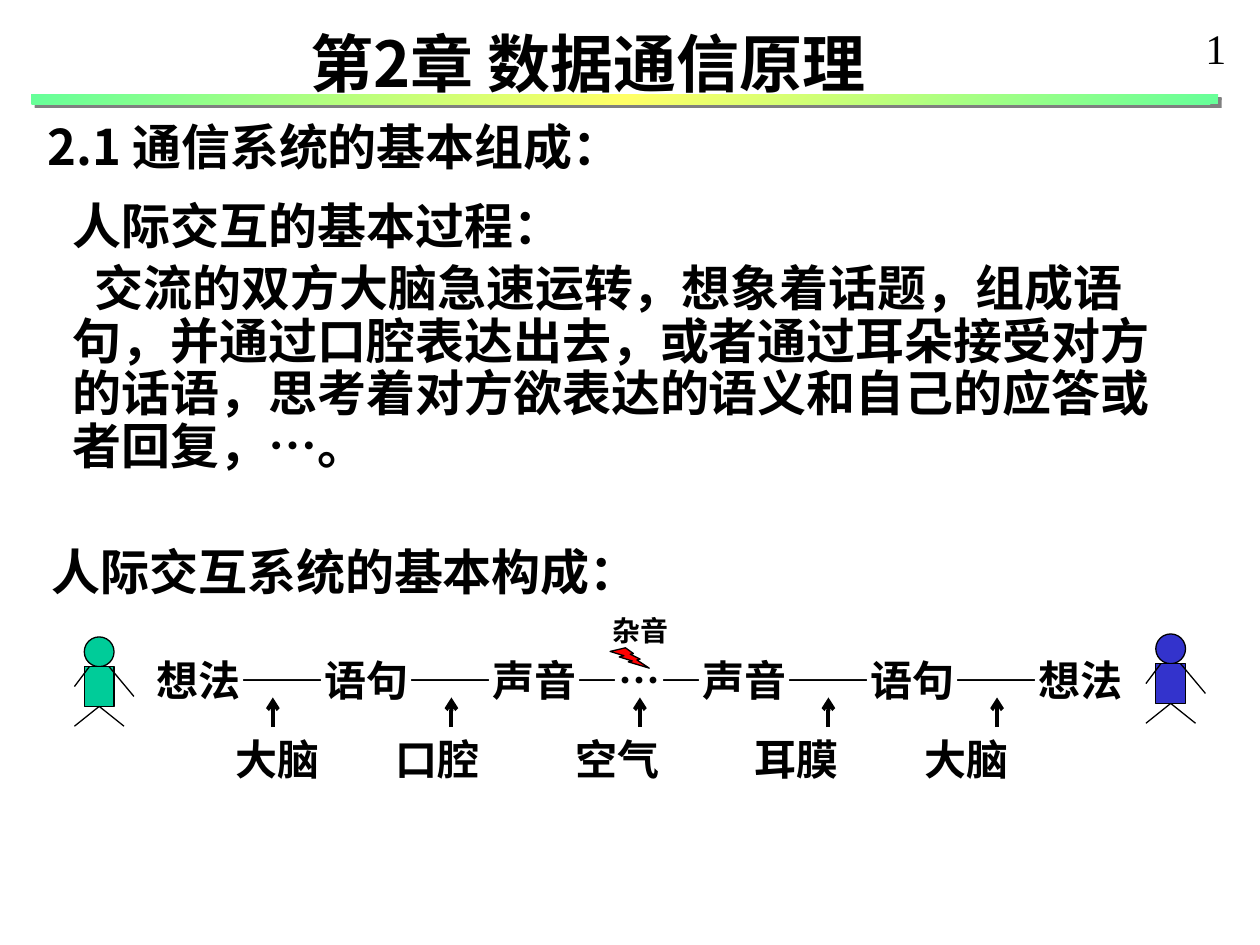
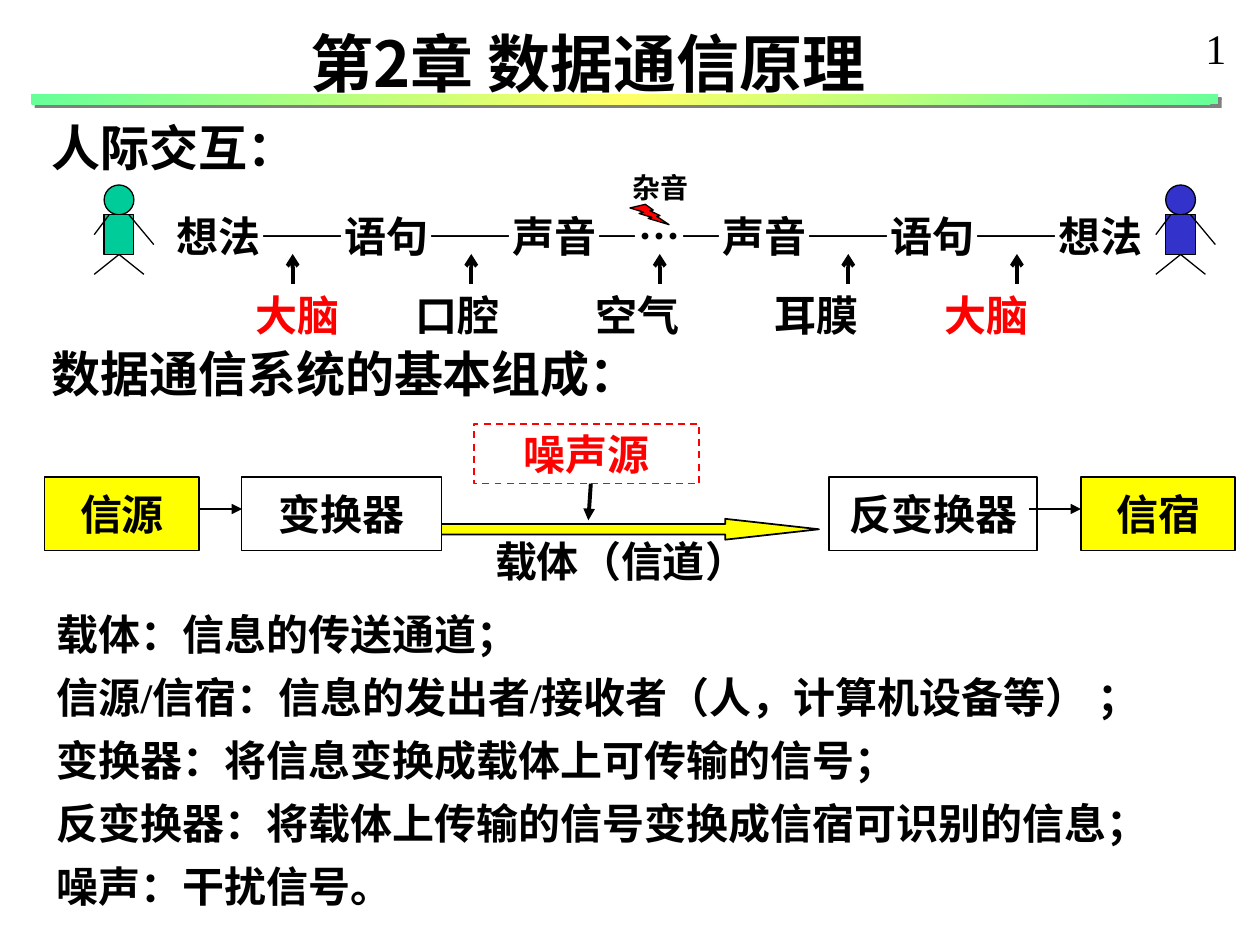
from lxml.etree import SubElement
from pptx import Presentation
from pptx.dml.color import RGBColor
from pptx.enum.dml import MSO_LINE
from pptx.enum.shapes import MSO_CONNECTOR, MSO_SHAPE
from pptx.enum.text import MSO_ANCHOR, MSO_AUTO_SIZE, PP_ALIGN
from pptx.oxml import parse_xml
from pptx.oxml.ns import nsdecls, qn
from pptx.util import Cm, Pt

BLACK = RGBColor(0, 0, 0)
WHITE = RGBColor(255, 255, 255)
RED = RGBColor(255, 0, 0)
YELLOW = RGBColor(255, 255, 0)
TEAL = RGBColor(0, 0xCC, 0x99)
BLUE = RGBColor(0x33, 0x33, 0xCC)
SANS, SERIF = "Noto Sans CJK SC", "Times New Roman"

# Content; all lengths are in centimetres
TITLE = "第2章 数据通信原理"
CHAIN = "想法——语句——声音—…—声音——语句——想法"
ORGANS = [  # word, word centre, arrow x, measured from the chain
    ("大脑", 2.69, 2.6), ("口腔", 5.92, 6.2), ("空气", 9.55, 10),
    ("耳膜", 13.16, 13.8), ("大脑", 16.59, 17.2),
]
LIMBS = [  # measured from the top left of the head
    (0.5, 0.6, 1, 1.2), (0.1, 0.6, -0.2, 1),
    (0.3, 1.4, 0.8, 1.8), (0.3, 1.4, -0.2, 1.8),
]
PROCESS = [
    "人际交互的基本过程：",
    "交流的双方大脑急速运转，想象着话题，组成语句，并通过口腔表达出去，"
    "或者通过耳朵接受对方的话语，思考着对方欲表达的语义和自己的应答或者回复，…。",
]
TERMS = [
    "载体：信息的传送通道；",
    "信源/信宿：信息的发出者/接收者（人，计算机设备等） ；",
    "变换器：将信息变换成载体上可传输的信号；",
    "反变换器：将载体上传输的信号变换成信宿可识别的信息；",
    "噪声：干扰信号。",
]
STAGES = [  # word, left, width, fill
    ("信源", 0.9, 3.12, YELLOW), ("变换器", 4.87, 4.03, WHITE),
    ("反变换器", 16.72, 4.19, WHITE), ("信宿", 21.8, 3.1, YELLOW),
]
SLIDES = [
    dict(heads=[("2.1 通信系统的基本组成：", 0.71, 2.34),
                ("人际交互系统的基本构成：", 0.79, 10.92)],
         body=PROCESS, box=(1.22, 3.94, 22.4, 5.9),
         chain=(2.9, 13.06), people=[(1.7, 12.84), (23.3, 12.78)],
         brain=BLACK),
    dict(heads=[("人际交互：", 0.79, 2.36),
                ("数据通信系统的基本组成：", 0.79, 6.93)],
         body=TERMS, box=(0.89, 12.14, 23.77, 6.63),
         chain=(3.3, 4.12), people=[(2.1, 3.73), (23.5, 3.73)],
         brain=RED),
]


def write(frame, lines, size, face=SERIF, color=BLACK, bold=True,
          align=PP_ALIGN.LEFT, pitch=1.2):
    """Fill a text frame; pitch is the line height in ems."""
    frame.word_wrap = True
    frame.auto_size = MSO_AUTO_SIZE.NONE
    frame.margin_left = frame.margin_right = Cm(0.25)
    frame.margin_top = frame.margin_bottom = Pt(3.6)
    frame.text = "\n".join(lines)
    for para in frame.paragraphs:
        para.alignment = align
        if pitch:
            para.line_spacing = Pt(round(size * pitch, 1))
        font = para.font
        font.size, font.bold, font.name = Pt(size), bold, face
        font.color.rgb = color
        latin = para._p.pPr.find(".//" + qn("a:latin"))
        latin.addnext(parse_xml(f'<a:ea {nsdecls("a")} typeface="{SANS}"/>'))


def place(shape, left, top, width, height):
    shape.left, shape.top = Cm(left), Cm(top)
    shape.width, shape.height = Cm(width), Cm(height)


def label(slide, box, text, size, **style):
    frame = slide.shapes.add_textbox(*map(Cm, box)).text_frame
    write(frame, [text], size, **style)


def block(slide, kind, box, fill, weight=0.75, edge=BLACK):
    shape = slide.shapes.add_shape(kind, *map(Cm, box))
    shape.shadow.inherit = False
    shape.fill.solid()
    shape.fill.fore_color.rgb = fill
    shape.line.color.rgb = edge
    shape.line.width = Pt(weight)
    return shape


def named(slide, box, text, fill, color=BLACK):
    """A rectangle with a centred word; coloured words get a dashed edge."""
    shape = block(slide, MSO_SHAPE.RECTANGLE, box, fill, 1, color)
    if color != BLACK:
        shape.line.dash_style = MSO_LINE.DASH
    write(shape.text_frame, [text], 24, color=color, align=PP_ALIGN.CENTER)
    shape.text_frame.vertical_anchor = MSO_ANCHOR.MIDDLE


def line(slide, ends, weight=0.75, head=None):
    link = slide.shapes.add_connector(MSO_CONNECTOR.STRAIGHT, *map(Cm, ends))
    link.line.color.rgb = BLACK
    link.line.width = Pt(weight)
    if head:
        SubElement(link.line._get_or_add_ln(), qn("a:tailEnd"), type=head)
    SubElement(link._element.spPr, qn("a:effectLst"))


def frame_up(slide):
    """Page number, gradient bar and chapter title."""
    label(slide, (24.05, 0.33, 1.2, 1.27), "1", 24, bold=False, pitch=None)
    bar = slide.shapes.add_shape(
        MSO_SHAPE.RECTANGLE, *map(Cm, (0.63, 1.9, 23.93, 0.2)))
    bar.line.fill.background()
    stops = "".join(
        f'<a:gs pos="{pos}"><a:srgbClr val="{val}"/></a:gs>'
        for pos, val in [(0, "66FF99"), (50000, "FFFF66"), (100000, "66FF99")])
    props = bar._element.spPr
    props.find(qn("a:prstGeom")).addnext(parse_xml(
        f'<a:gradFill {nsdecls("a")}><a:gsLst>{stops}</a:gsLst>'
        '<a:lin ang="2700000" scaled="1"/></a:gradFill>'))
    props.append(parse_xml(
        f'<a:effectLst {nsdecls("a")}><a:outerShdw dist="35560" dir="2700000">'
        '<a:srgbClr val="808080"/></a:outerShdw></a:effectLst>'))
    title = slide.shapes.title
    place(title, 6, 0.36, 12.7, 1.78)
    write(title.text_frame, [TITLE], 36, SANS)
    title.text_frame.vertical_anchor = MSO_ANCHOR.TOP


def fill_body(slide, lines, box):
    body = slide.placeholders[1]
    place(body, *box)
    frame = body.text_frame
    story = lines is PROCESS
    if story:
        write(frame, lines, 28, SANS, pitch=1.08)
    else:
        write(frame, lines, 24)
    for pos, para in enumerate(frame.paragraphs):
        props = para._p.get_or_add_pPr()
        props.set("marL", "0")
        props.set("indent", str(Cm(0.44) if story and pos else 0))
        para.space_before = Pt(5 if story and pos else 0)
        para.space_after = Pt(0 if story else 7.2)
        props.find(qn("a:defRPr")).addprevious(
            parse_xml(f'<a:buNone {nsdecls("a")}/>'))


def person(slide, left, top, fill):
    block(slide, MSO_SHAPE.OVAL, (left, top, 0.6, 0.6), fill)
    block(slide, MSO_SHAPE.RECTANGLE, (left, top + 0.6, 0.6, 0.8), fill)
    for x1, y1, x2, y2 in LIMBS:
        line(slide, (left + x1, top + y1, left + x2, top + y2))


def exchange(slide, chain, people, brain):
    """Two people and the chain of forms their message takes."""
    left, top = chain
    label(slide, (left, top, 20.17, 1.27), CHAIN, 24)
    for spot, fill in zip(people, (TEAL, BLUE)):
        person(slide, *spot, fill)
    for word, mid, x in ORGANS:
        label(slide, (left + mid - 1.25, top + 1.6, 2.5, 1.27), word, 24,
              color=brain if word == "大脑" else BLACK,
              align=PP_ALIGN.CENTER)
        line(slide, (left + x, top + 1.6, left + x, top + 1), 2.25, "arrow")
    block(slide, MSO_SHAPE.LIGHTNING_BOLT, (left + 9.4, top, 0.79, 0.41), RED)
    label(slide, (left + 9.2, top - 0.81, 1.8, 0.94), "杂音", 16)


def system(slide):
    """Source, channel with noise, and sink."""
    label(slide, (9.73, 10.67, 5.72, 1.27), "载体（信道）", 24)
    channel = block(slide, MSO_SHAPE.RIGHT_ARROW,
                    (8.89, 10.46, 7.62, 0.42), YELLOW, 1)
    channel.adjustments[0], channel.adjustments[1] = 0.5, 4.5
    named(slide, (9.55, 8.55, 4.55, 1.2), "噪声源", WHITE, RED)
    line(slide, (11.91, 9.75, 11.86, 10.49), 2.25, "triangle")
    for word, left, width, fill in STAGES:
        named(slide, (left, 9.62, width, 1.48), word, fill)
    for start, end in [(4.01, 4.88), (20.75, 21.79)]:
        line(slide, (start, 10.26, end, 10.26), 1, "triangle")


def main():
    deck = Presentation()
    deck.slide_width, deck.slide_height = Cm(25.4), Cm(19.05)
    for page in SLIDES:
        slide = deck.slides.add_slide(deck.slide_layouts[1])
        frame_up(slide)
        for text, left, top in page["heads"]:
            label(slide, (left, top, 23.11, 1.32), text, 28,
                  face=SANS, pitch=1.08)
        fill_body(slide, page["body"], page["box"])
        exchange(slide, page["chain"], page["people"], page["brain"])
        if page["body"] is TERMS:
            system(slide)
    deck.save("out.pptx")


if __name__ == "__main__":
    main()
